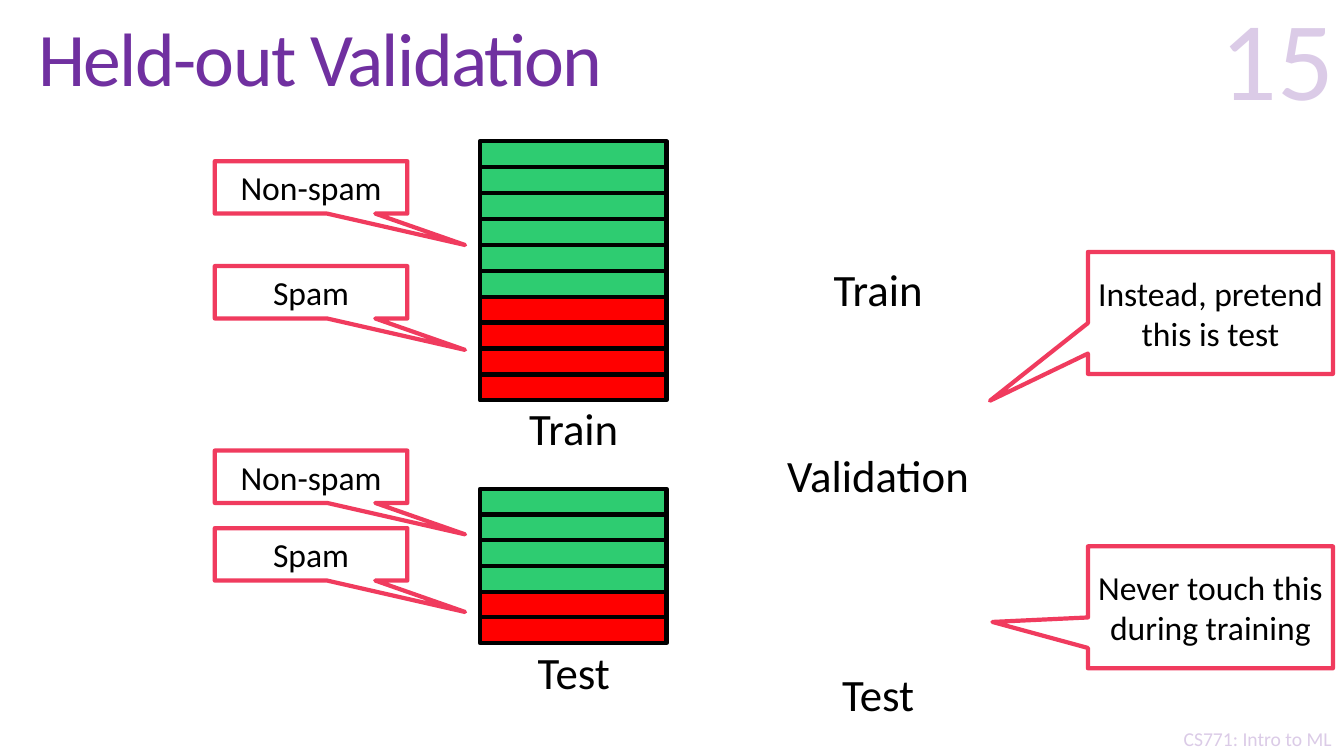
from pptx import Presentation
from pptx.dml.color import RGBColor
from pptx.enum.shapes import MSO_SHAPE
from pptx.enum.text import MSO_ANCHOR, PP_ALIGN
from pptx.util import Inches, Pt

RECTANGLE = MSO_SHAPE.RECTANGLE
CALLOUT = MSO_SHAPE.RECTANGULAR_CALLOUT
LEFT, CENTER, RIGHT = PP_ALIGN.LEFT, PP_ALIGN.CENTER, PP_ALIGN.RIGHT
MIDDLE, BOTTOM = MSO_ANCHOR.MIDDLE, MSO_ANCHOR.BOTTOM

PURPLE = RGBColor(0x70, 0x30, 0xA0)
PALE_PURPLE = RGBColor(0xDB, 0xCB, 0xE7)
GREEN = RGBColor(0x2E, 0xCC, 0x71)
RED = RGBColor(0xFF, 0x00, 0x00)
PINK = RGBColor(0xF0, 0x3B, 0x5E)
BLACK = RGBColor(0x00, 0x00, 0x00)
WHITE = RGBColor(0xFF, 0xFF, 0xFF)

presentation = Presentation()
presentation.slide_width = Inches(13.33)
presentation.slide_height = Inches(7.5)
slide = presentation.slides.add_slide(presentation.slide_layouts[6])
COLUMN = presentation.slide_width / 100
ROW = presentation.slide_height / 100


def add_box(kind, left, top, width, height, fill, line):
    shape = slide.shapes.add_shape(
        kind, int(left * COLUMN), int(top * ROW), int(width * COLUMN), int(height * ROW))
    shape.shadow.inherit = False
    shape.fill.solid()
    shape.fill.fore_color.rgb = fill
    shape.line.color.rgb = line
    shape.line.width = Pt(3)
    return shape


def write(shape, text, size, color, alignment=CENTER, anchor=MIDDLE, inset=0.05):
    frame = shape.text_frame
    frame.word_wrap = True
    frame.vertical_anchor = anchor
    frame.margin_left = frame.margin_right = Inches(inset)
    frame.margin_top = frame.margin_bottom = 0
    frame.text = text
    paragraph = frame.paragraphs[0]
    paragraph.alignment = alignment
    font = paragraph.runs[0].font
    font.name = "Calibri"
    font.size = Pt(size)
    font.color.rgb = color
    return paragraph


texts = [
    ("CS771: Intro to ML", 86.42, 95.47, 14.33, 4.53, 14, PALE_PURPLE, CENTER, MIDDLE),
    ("Held-out Validation", 2.1, 0.53, 95.2, 15.73, 54, PURPLE, LEFT, MIDDLE),
    ("15", 75.99, 0.67, 24.01, 15.6, 80, PALE_PURPLE, RIGHT, BOTTOM),
    ("Train", 37.44, 53.2, 10.5, 6.8, 32, BLACK, CENTER, MIDDLE),
    ("Test", 37.44, 85.47, 10.5, 6.8, 32, BLACK, CENTER, MIDDLE),
    ("Train", 60.09, 34.8, 10.5, 6.8, 32, BLACK, CENTER, MIDDLE),
    ("Validation", 57.39, 59.33, 15.9, 6.8, 32, BLACK, CENTER, MIDDLE),
    ("Test", 60.09, 88.4, 10.5, 6.8, 32, BLACK, CENTER, MIDDLE),
]
for text, left, top, width, height, size, color, alignment, anchor in texts:
    text_box = slide.shapes.add_textbox(
        int(left * COLUMN), int(top * ROW), int(width * COLUMN), int(height * ROW))
    paragraph = write(text_box, text, size, color, alignment, anchor, 0.1)
    if size == 54:
        paragraph.line_spacing = 0.85
        paragraph.runs[0].font._element.set("spc", "-120")

stacks = [(18.67, 34.3, 6, 4), (64.67, 20.4, 4, 2)]
for top, height, non_spam_count, spam_count in stacks:
    bar_height = height / (non_spam_count + spam_count)
    bar_colors = [GREEN] * non_spam_count + [RED] * spam_count
    for index, color in enumerate(bar_colors):
        add_box(RECTANGLE, 35.71, top + index * bar_height, 13.88, bar_height, color, BLACK)

SMALL = (15.98, 14.33, 6.93)
LARGE = (80.95, 18.23, 16.13)
callouts = [
    ("Non-spam", SMALL, 21.33, 0.8, 1.1),
    ("Spam", SMALL, 35.2, 0.8, 1.1),
    ("Non-spam", SMALL, 59.6, 0.8, 1.1),
    ("Spam", SMALL, 69.87, 0.8, 1.1),
    ("Never touch this during training", LARGE, 72.27, -0.89, 0.12),
    ("Instead, pretend this is test", LARGE, 33.33, -0.9, 0.72),
]
for text, (left, width, height), top, tip_x, tip_y in callouts:
    callout = add_box(CALLOUT, left, top, width, height, WHITE, PINK)
    callout.adjustments[0] = tip_x
    callout.adjustments[1] = tip_y
    write(callout, text, 24, BLACK)

presentation.save("out.pptx")
